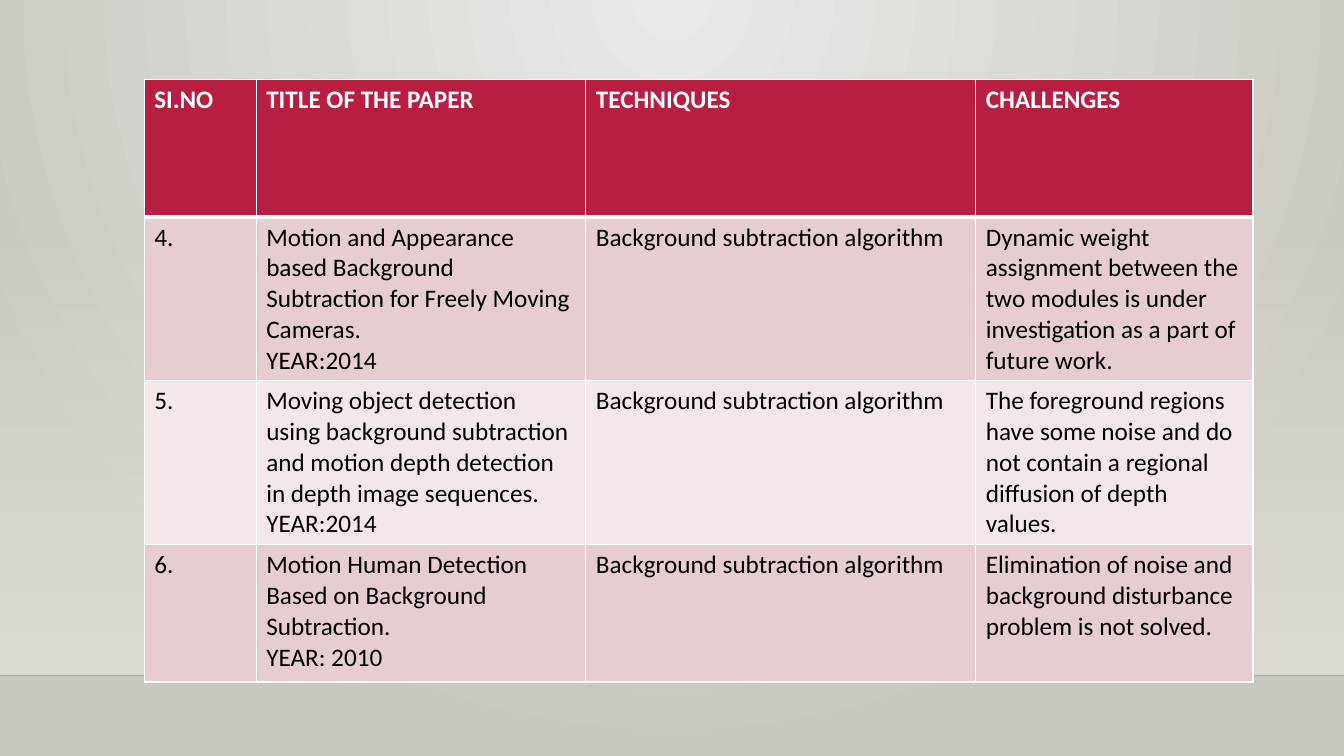
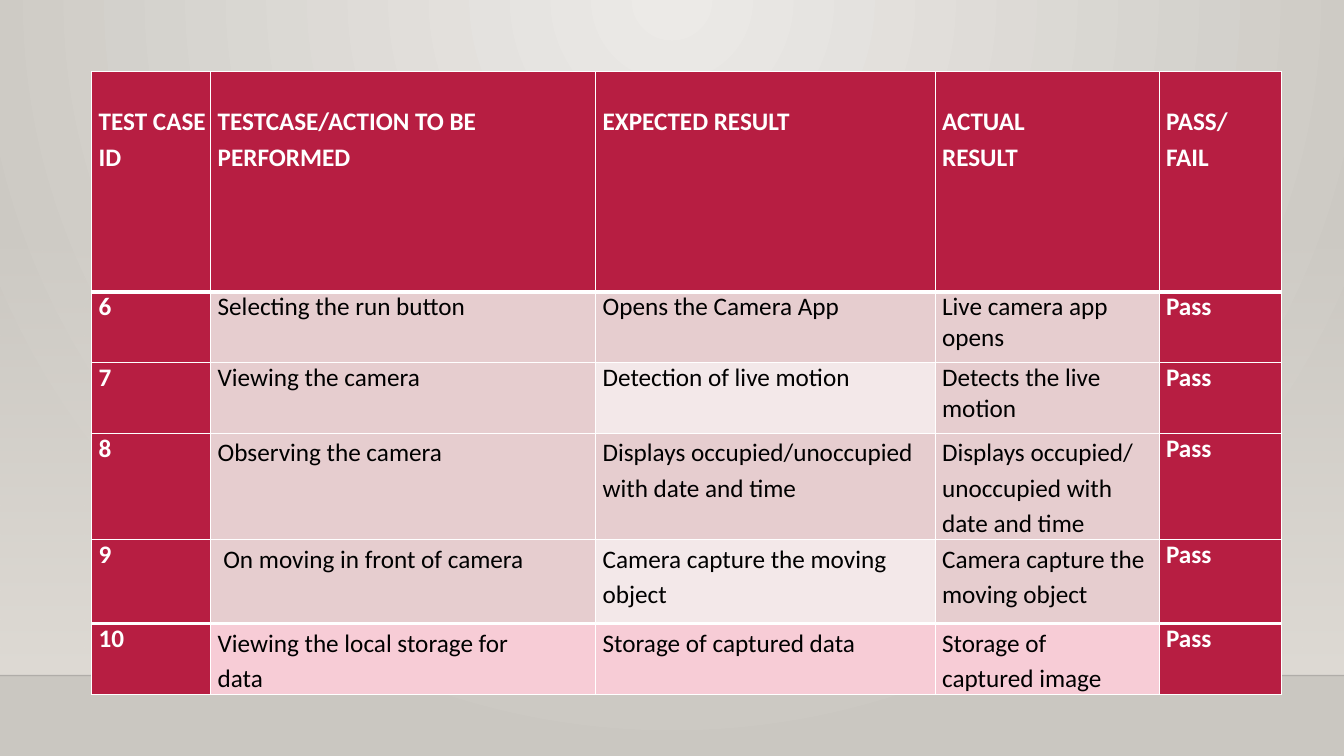
"""Build two table slides on motion detection: surveyed papers and test cases."""
from lxml import etree
from pptx import Presentation
from pptx.dml.color import RGBColor
from pptx.enum import shapes
from pptx.oxml.ns import qn
from pptx.util import Pt

WHITE = RGBColor(0xFF, 0xFF, 0xFF)
BLACK = RGBColor(0x00, 0x00, 0x00)
CRIMSON = RGBColor(0xB7, 0x1E, 0x42)
ROSE = RGBColor(0xE6, 0xCD, 0xCF)
PALE = RGBColor(0xF3, 0xE8, 0xE9)
PINK = RGBColor(0xF7, 0xCC, 0xD6)
GLOW = RGBColor(0xEC, 0xEA, 0xE7)
STONE = RGBColor(0xCA, 0xC7, 0xC1)
SAND = RGBColor(0xDF, 0xDB, 0xD5)
FLOOR = RGBColor(0x00, 0x00, 0x01)

WIDTH, HEIGHT = 960, 540
WALL_TOP, FLOOR_TOP = 159, 482.5
SUBTRACTION = "Background subtraction algorithm"

PAPERS = [
    ["SI.NO", "TITLE OF THE PAPER", "TECHNIQUES", "CHALLENGES"],
    ["4.", "Motion and Appearance based Background Subtraction for Freely Moving "
     "Cameras.\nYEAR:2014", SUBTRACTION,
     "Dynamic weight assignment between the two modules is under investigation "
     "as a part of future work."],
    ["5.", "Moving object detection using background subtraction and motion depth "
     "detection in depth image sequences.\nYEAR:2014", SUBTRACTION,
     "The foreground regions have some noise and do not contain a regional "
     "diffusion of depth values."],
    ["6.", "Motion Human Detection Based on Background Subtraction.\nYEAR: 2010",
     SUBTRACTION,
     "Elimination of noise and background disturbance problem is not solved."],
]
TEST_CASES = [
    ["TEST CASE ID", "TESTCASE/ACTION TO BE PERFORMED", "EXPECTED RESULT",
     "ACTUAL RESULT", "PASS/ FAIL"],
    ["6", "Selecting the run button", "Opens the Camera App",
     "Live camera app opens", "Pass"],
    ["7", "Viewing the camera", "Detection of live motion",
     "Detects the live motion", "Pass"],
    ["8", "Observing the camera", "Displays occupied/unoccupied with date and time",
     "Displays occupied/\nunoccupied with date and time", "Pass"],
    ["9", " On moving in front of camera", "Camera capture the moving object",
     "Camera capture the moving object", "Pass"],
    ["10", "Viewing the local storage for data", "Storage of captured data",
     "Storage of captured image", "Pass"],
]


def set_alpha(element, percent):
    """Make the first plain colour inside an element translucent."""
    colour = element.find(".//" + qn("a:srgbClr"))
    etree.SubElement(colour, qn("a:alpha"), val=str(percent * 1000))


def paper_fill(row, column):
    """Give the banded fill of the papers table."""
    return CRIMSON if row == 0 else (PALE, ROSE)[row % 2]


def case_fill(row, column):
    """Give the fill of the test-case table, framed by its header and outer columns."""
    if row == 0 or column in (0, 4):
        return CRIMSON
    if row == 5:
        return PINK
    return PALE if column == 2 and row % 2 == 0 else ROSE


class Deck:
    """Hold the presentation, its shared style and the current slide."""

    font, size = "Calibri", 18

    def __init__(self):
        """Start a wide presentation."""
        self.show = Presentation()
        self.show.slide_width, self.show.slide_height = Pt(WIDTH), Pt(HEIGHT)
        self.slide = None

    def new_slide(self):
        """Add a blank slide and make it current."""
        self.slide = self.show.slides.add_slide(self.show.slide_layouts[6])

    def gradient(self, fill, first, last):
        """Fill with a two-colour gradient."""
        fill.gradient()
        for stop, colour in zip(fill.gradient_stops, (first, last)):
            stop.color.rgb = colour

    def backdrop(self):
        """Give the master its glow, wall and floor line."""
        master = self.show.slide_master
        self.gradient(master.background.fill, GLOW, STONE)
        glow = master.element.find(".//" + qn("a:gradFill"))
        glow.remove(glow.find(qn("a:lin")))
        circle = etree.SubElement(glow, qn("a:path"))
        circle.set("path", "circle")
        etree.SubElement(circle, qn("a:fillToRect"),
                         l="43000", t="0", r="43000", b="100000")

        wall = self.slide.shapes.add_shape(
            shapes.MSO_SHAPE.RECTANGLE, 0, Pt(WALL_TOP), Pt(WIDTH), Pt(FLOOR_TOP - WALL_TOP))
        wall.shadow.inherit = False
        wall.line.fill.background()
        self.gradient(wall.fill, SAND, SAND)
        wall.fill.gradient_angle = 270
        set_alpha(wall.element.spPr, 0)

        floor = self.slide.shapes.add_connector(
            shapes.MSO_CONNECTOR.STRAIGHT, 0, Pt(FLOOR_TOP), Pt(WIDTH), Pt(FLOOR_TOP))
        floor.line.color.rgb = FLOOR
        floor.line.width = Pt(1)
        set_alpha(floor.element.spPr, 20)
        etree.SubElement(floor.element.spPr, qn("a:effectLst"))

        for number, part in enumerate((wall, floor), 101):
            part.element.find(".//" + qn("p:cNvPr")).set("id", str(number))
            master.element.cSld.spTree.append(part.element)

    def borders(self, cell, top, bottom):
        """Draw white cell borders, with the given top and bottom widths."""
        properties = cell._tc.get_or_add_tcPr()
        for side, width in (("L", 1), ("R", 1), ("T", top), ("B", bottom)):
            line = etree.SubElement(properties, qn("a:ln" + side), w=str(Pt(width)))
            solid = etree.SubElement(line, qn("a:solidFill"))
            etree.SubElement(solid, qn("a:srgbClr"), val=str(WHITE))

    def words(self, cell, content, strong, spacing):
        """Set each line of the content as a paragraph."""
        frame = cell.text_frame
        for index, line in enumerate(content.split("\n")):
            paragraph = frame.add_paragraph() if index else frame.paragraphs[0]
            paragraph.line_spacing = spacing
            run = paragraph.add_run()
            run.text = line
            run.font.name, run.font.size = self.font, Pt(self.size)
            run.font.bold = strong
            run.font.color.rgb = WHITE if strong else BLACK

    def table(self, left, top, widths, heights, rows, fill_of, heavy, loose=(), inset=None):
        """Add a table; heavy lists rows with a thick top edge, loose rows with open lines."""
        grid = self.slide.shapes.add_table(
            len(rows), len(widths), Pt(left), Pt(top), Pt(sum(widths)), Pt(sum(heights))).table
        grid.horz_banding = False
        for column, width in zip(grid.columns, widths):
            column.width = Pt(width)
        for r, (entries, height) in enumerate(zip(rows, heights)):
            grid.rows[r].height = Pt(height)
            for c, content in enumerate(entries):
                cell, colour = grid.cell(r, c), fill_of(r, c)
                strong = colour == CRIMSON
                self.borders(cell, 3 if r in heavy else 1, 3 if r + 1 in heavy else 1)
                cell.fill.solid()
                cell.fill.fore_color.rgb = colour
                if inset is not None:
                    cell.margin_left = Pt(inset)
                    cell.margin_top = cell.margin_right = cell.margin_bottom = 0
                is_open = r in loose and (r == 0 or not strong)
                self.words(cell, content, strong, 1.15 if is_open else 1.0)
        return grid


def main():
    """Build and save the slides."""
    deck = Deck()
    deck.new_slide()
    deck.backdrop()
    deck.table(103, 57, [80, 235.5, 278.5, 198], [98, 117, 117, 98],
               PAPERS, paper_fill, heavy=[1])

    deck.new_slide()
    cases = deck.table(65.5, 51, [85, 275, 242.5, 160, 87.5],
                       [157.5, 50.5, 50.5, 76, 60, 50.5], TEST_CASES, case_fill,
                       heavy=[1, 5], loose=[0, 3, 4, 5], inset=5)
    for column in range(5):
        cases.cell(0, column).margin_top = Pt(22)
    for (row, column), room in {(0, 3): 60, (0, 4): 20, (5, 1): 50, (5, 3): 30}.items():
        cases.cell(row, column).margin_right = Pt(room)
    deck.show.save("out.pptx")


if __name__ == "__main__":
    main()
